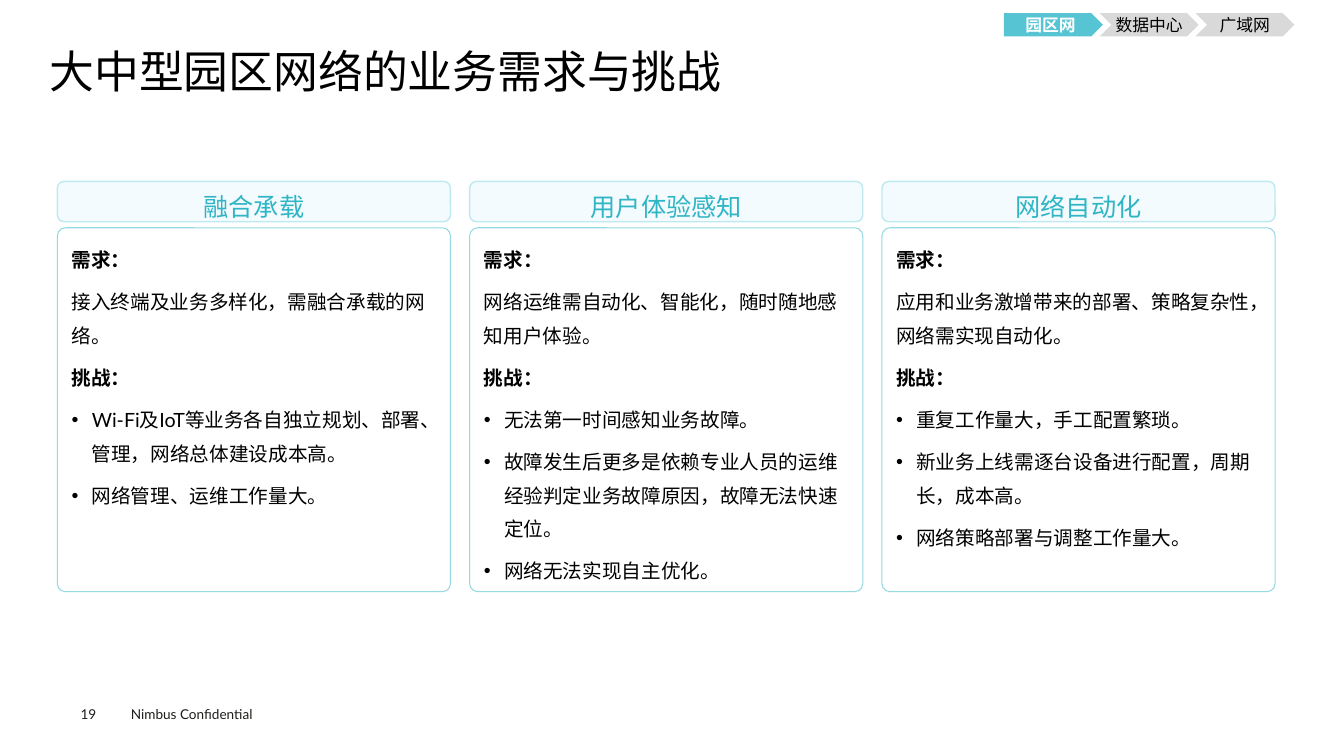
from dataclasses import dataclass

from lxml import etree
from pptx import Presentation
from pptx.dml.color import RGBColor
from pptx.enum.shapes import MSO_SHAPE as Shape
from pptx.enum.text import MSO_ANCHOR as Anchor, MSO_AUTO_SIZE as Fit, PP_ALIGN as Align
from pptx.oxml.ns import qn
from pptx.util import Pt


@dataclass(frozen=True)
class Theme:
    font: str = "Lato"
    black: str = "000000"
    white: str = "FFFFFF"
    foot: str = "1D1D1B"
    teal: str = "30B5C5"
    pale: str = "F3FBFE"
    rim: str = "BEE9EE"
    edge: str = "94DAE2"
    live: str = "56C4D2"
    idle: str = "D9D9D9"
    title_size: float = 32
    head_size: float = 18
    body_size: float = 14
    tab_size: float = 12
    foot_size: float = 9.7


T = Theme()

TABS = ["园区网", "数据中心", "广域网"]
CARDS = [
    ("融合承载", "接入终端及业务多样化，需融合承载的网络。",
     ["Wi-Fi及IoT等业务各自独立规划、部署、管理，网络总体建设成本高。",
      "网络管理、运维工作量大。"]),
    ("用户体验感知", "网络运维需自动化、智能化，随时随地感知用户体验。",
     ["无法第一时间感知业务故障。",
      "故障发生后更多是依赖专业人员的运维经验判定业务故障原因，故障无法快速定位。",
      "网络无法实现自主优化。"]),
    ("网络自动化", "应用和业务激增带来的部署、策略复杂性，网络需实现自动化。",
     ["重复工作量大，手工配置繁琐。",
      "新业务上线需逐台设备进行配置，周期长，成本高。",
      "网络策略部署与调整工作量大。"]),
]


def write(para, text, size, color=T.black, bold=False, align=Align.LEFT,
          lead=None, after=None, dot=False):
    """Fill one paragraph; dot gives it a hanging bullet."""
    if dot:
        props = para._p.get_or_add_pPr()
        props.set("marL", str(Pt(14.4)))
        props.set("indent", str(-Pt(14.4)))
        etree.SubElement(props, qn("a:buFont")).set("typeface", "Arial")
        etree.SubElement(props, qn("a:buChar")).set("char", "•")
    para.alignment = align
    if lead:
        para.line_spacing = lead
    if after:
        para.space_after = after
    run = para.add_run()
    run.text = text
    font = run.font
    font.name, font.size, font.bold = T.font, Pt(size), bold
    font.color.rgb = RGBColor.from_string(color)


def set_frame(shape, pads=(0, 0, 0, 0), anchor=Anchor.TOP):
    """Set wrapping, anchor and insets (left, top, right, bottom)."""
    frame = shape.text_frame
    frame.word_wrap = True
    frame.auto_size = Fit.NONE
    frame.vertical_anchor = anchor
    (frame.margin_left, frame.margin_top,
     frame.margin_right, frame.margin_bottom) = map(Pt, pads)
    return frame


def add_box(slide, kind, box, fill=None, line=None, width=1):
    shape = slide.shapes.add_shape(kind, *map(Pt, box))
    shape.shadow.inherit = False
    if fill:
        shape.fill.solid()
        shape.fill.fore_color.rgb = RGBColor.from_string(fill)
    else:
        shape.fill.background()
    if line:
        shape.line.color.rgb = RGBColor.from_string(line)
        shape.line.width = Pt(width)
    else:
        shape.line.fill.background()
    return shape


def add_title(slide, box, text):
    title = slide.shapes.title
    title.left, title.top, title.width, title.height = map(Pt, box)
    frame = set_frame(title)
    write(frame.paragraphs[0], text, T.title_size, lead=0.9)


def add_tabs(slide, box):
    left, top, width, height = box
    step = 68.4
    wide = width - step * (len(TABS) - 1)
    for i, name in enumerate(TABS):
        live = i == 0
        tab = add_box(slide, Shape.PENTAGON if live else Shape.CHEVRON,
                      (left + i * step, top, wide, height),
                      T.live if live else T.idle)
        frame = set_frame(tab, anchor=Anchor.MIDDLE)
        write(frame.paragraphs[0], name, T.tab_size,
              T.white if live else T.black, bold=live, align=Align.CENTER)


def add_card(slide, box, name, need, tasks):
    left, top, width, height = box
    head_h, gap = 28.8, 4.3
    head = add_box(slide, Shape.ROUNDED_RECTANGLE, (left, top, width, head_h),
                   T.pale, T.rim)
    frame = set_frame(head, (7.2, 0, 7.2, 3.6), Anchor.MIDDLE)
    write(frame.paragraphs[0], name, T.head_size, T.teal,
          align=Align.CENTER, lead=1.5)

    drop = head_h + gap
    body = add_box(slide, Shape.ROUNDED_RECTANGLE,
                   (left, top + drop, width, height - drop),
                   line=T.edge, width=0.75)
    body.adjustments[0] = 0.022
    frame = set_frame(body, (8.5, 5.7, 8.5, 5.7))
    rows = [("需求：", True, False), (need, False, False), ("挑战：", True, False)]
    rows += [(task, False, True) for task in tasks]
    for i, (text, bold, dot) in enumerate(rows):
        para = frame.add_paragraph() if i else frame.paragraphs[0]
        write(para, text, T.body_size, bold=bold, dot=dot,
              lead=Pt(24), after=Pt(6))


def add_cards(slide, box):
    left, top, width, height = box
    gap = 13.7
    wide = (width - gap * (len(CARDS) - 1)) / len(CARDS)
    for i, card in enumerate(CARDS):
        add_card(slide, (left + i * (wide + gap), top, wide, height), *card)


def add_foot(slide, box):
    left, top, width, height = box
    parts = [("19", 0, 40, (0, 3.6, 0, 3.6)),
             ("Nimbus Confidential", 28.8, width - 28.8, (7.2, 3.6, 7.2, 3.6))]
    for text, shift, wide, pads in parts:
        label = slide.shapes.add_textbox(Pt(left + shift), Pt(top), Pt(wide), Pt(height))
        frame = set_frame(label, pads)
        write(frame.paragraphs[0], text, T.foot_size, T.foot)


def main():
    deck = Presentation()
    deck.slide_width, deck.slide_height = Pt(960), Pt(540)
    slide = deck.slides.add_slide(deck.slide_layouts[5])
    add_foot(slide, (57.6, 500.4, 144, 19.4))
    add_title(slide, (35.3, 35.3, 889.2, 38.9), "大中型园区网络的业务需求与挑战")
    add_cards(slide, (41, 129.6, 869.8, 293))
    add_tabs(slide, (717.1, 9.4, 207.4, 16.6))
    deck.save("out.pptx")


if __name__ == "__main__":
    main()
